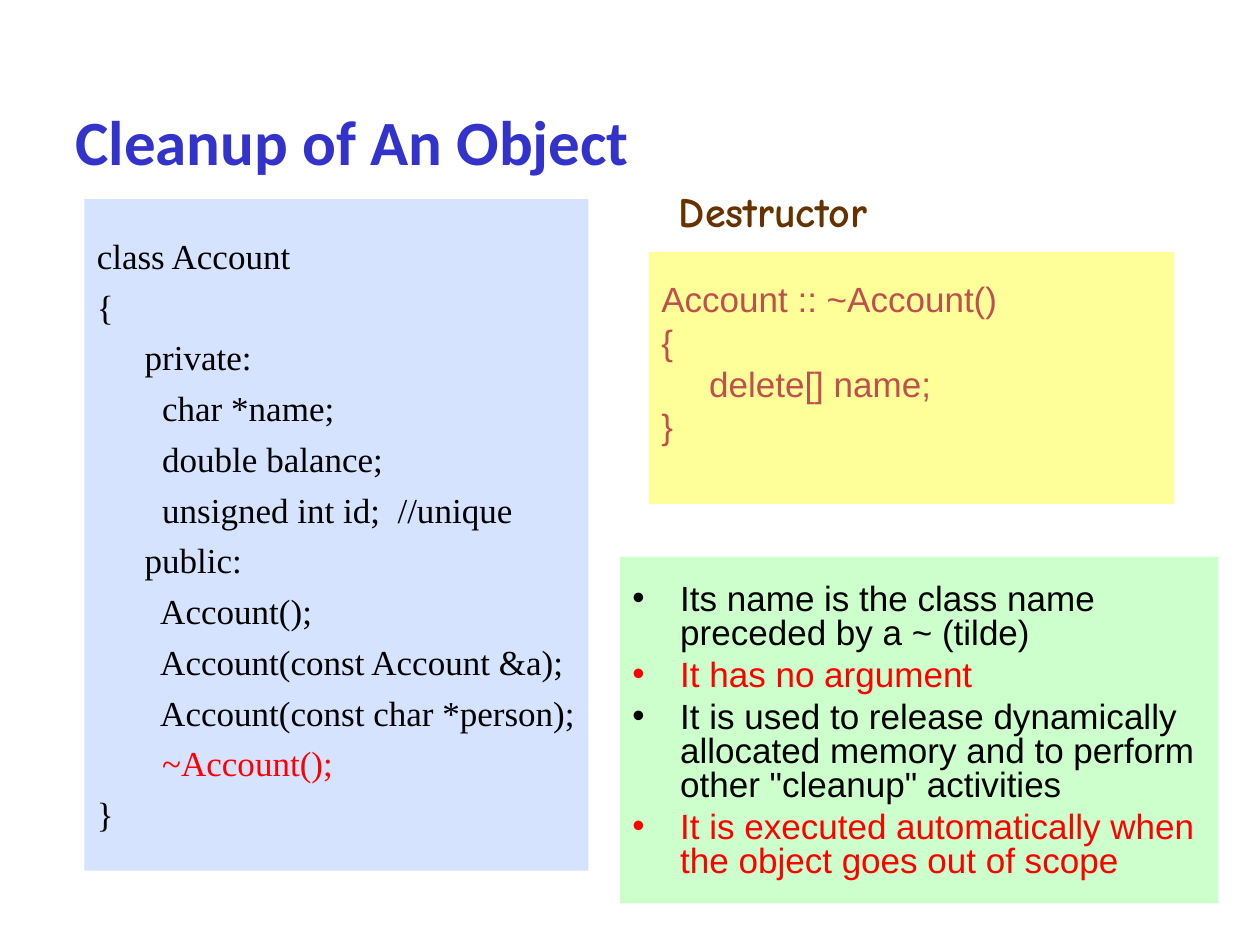
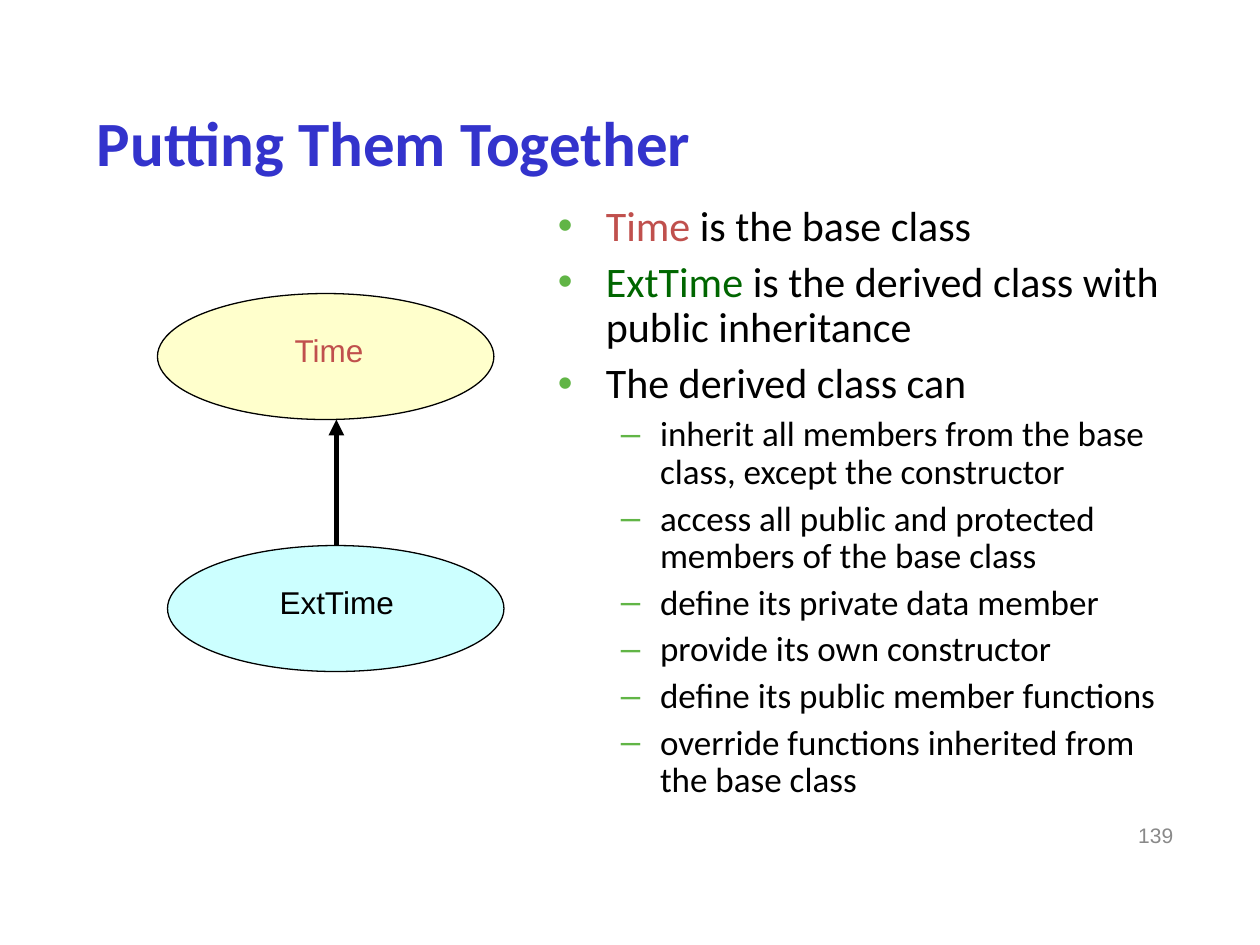
"""Builds two slides on C++ destructors and class inheritance."""
from lxml.etree import SubElement
from pptx import Presentation
from pptx.dml.color import RGBColor
from pptx.enum.shapes import MSO_CONNECTOR, MSO_SHAPE
from pptx.enum.text import MSO_ANCHOR, PP_ALIGN
from pptx.oxml.ns import qn
from pptx.util import Inches, Pt

COLORS = {
    "title": "3333CC", "text": "000000", "alert": "FF0000", "class": "C0504D",
    "derived": "006600", "bullet": "61B546", "heading": "663300", "number": "898989",
    "code": "D5E3FF", "destructor": "FFFF99", "notes": "CCFFCC",
    "base_oval": "FFFFCC", "derived_oval": "CCFFFF",
}
CODE = [
    "class Account", "{", "private:", "  char *name;", "  double balance;",
    "  unsigned int id;  //unique", "public:", "  Account();",
    "  Account(const Account &a);", "  Account(const char *person);",
    "  ~Account();", "}",
]
DESTRUCTOR = ["Account :: ~Account()", "{", "delete[] name;", "}"]
NOTES = [
    ("Its name is the class name preceded by a ~ (tilde)", "text"),
    ("It has no argument", "alert"),
    ("It is used to release dynamically allocated memory and to perform "
     'other "cleanup" activities', "text"),
    ("It is executed automatically when the object goes out of scope", "alert"),
]
POINTS = [
    [("Time", "class"), (" is the base class", "text")],
    [("ExtTime", "derived"), (" is the derived class with public inheritance", "text")],
    [("The derived class can", "text")],
]
ABILITIES = [
    "inherit all members from the base class, except the constructor",
    "access all public and protected members of the base class",
    "define its private data member",
    "provide its own constructor",
    "define its public member functions",
    "override functions inherited from the base class",
]


def color(name):
    """Return the named colour."""
    return RGBColor.from_string(COLORS[name])


def add_box(page, box, fill=None, shape=MSO_SHAPE.RECTANGLE, line=None,
            top=0.05, anchor=MSO_ANCHOR.TOP, wrap=True):
    """Add a text box, or a filled shape, and return it."""
    place = [Inches(length) for length in box]
    if fill:
        item = page.shapes.add_shape(shape, *place)
        item.shadow.inherit = False
        item.fill.solid()
        item.fill.fore_color.rgb = color(fill)
        if line:
            item.line.color.rgb = color(line)
            item.line.width = Pt(0.75)
        else:
            item.line.fill.background()
    else:
        item = page.shapes.add_textbox(*place)
    frame = item.text_frame
    frame.word_wrap = wrap
    frame.vertical_anchor = anchor
    frame.margin_left = frame.margin_right = Inches(0.1)
    frame.margin_top, frame.margin_bottom = Inches(top), Inches(0.05)
    return item


def add_para(item, spans, size, font, bold=False, align=PP_ALIGN.LEFT, before=0,
             spacing=1.0, margin=0, hang=0, bullet=None, bullet_color="bullet"):
    """Add a paragraph of (text, colour) spans, filling the first one if empty."""
    frame = item.text_frame
    first = not frame.paragraphs[0].runs
    para = frame.paragraphs[0] if first else frame.add_paragraph()
    props = para._p.get_or_add_pPr()
    props.set("marL", str(Inches(margin)))
    props.set("indent", str(-Inches(hang)))
    if bullet:
        tint = SubElement(SubElement(props, qn("a:buClr")), qn("a:srgbClr"))
        tint.set("val", COLORS[bullet_color])
        SubElement(props, qn("a:buFont")).set("typeface", "Arial")
        SubElement(props, qn("a:buChar")).set("char", bullet)
    para.alignment = align
    para.line_spacing = spacing
    para.space_before = Pt(0 if first else before)
    for text, name in spans:
        span = para.add_run()
        span.text = text
        span.font.size, span.font.name, span.font.bold = Pt(size), font, bold
        span.font.color.rgb = color(name)


def add_title(page, box, text):
    """Add the slide title."""
    item = add_box(page, box, anchor=MSO_ANCHOR.MIDDLE)
    add_para(item, [(text, "title")], 36, "Calibri", bold=True)


def add_code(page, box, lines, fill, ink, font, top, spacing=1.0):
    """Add a code panel whose body lines are indented between the braces."""
    item = add_box(page, box, fill, top=top)
    for line in lines:
        inside = line not in (lines[0], "{", "}")
        name = "alert" if line.strip().startswith("~") else ink
        add_para(item, [(line, name)], 20, font, before=5, spacing=spacing,
                 margin=0.38 if inside else 0)


def add_notes(page, box):
    """Add the panel of destructor rules."""
    item = add_box(page, box, "notes", top=0.22)
    for text, name in NOTES:
        add_para(item, [(text, name)], 20, "Arial", before=5, spacing=0.8,
                 margin=0.38, hang=0.38, bullet="•", bullet_color=name)


def add_points(page, box):
    """Add the two-level list about the derived class."""
    item = add_box(page, box, top=0.13)
    for spans in POINTS:
        add_para(item, spans, 24, "Calibri", before=6, spacing=0.9,
                 margin=0.38, hang=0.38, bullet="•")
    for text in ABILITIES:
        add_para(item, [(text, "text")], 20, "Calibri", before=5, spacing=0.9,
                 margin=0.81, hang=0.31, bullet="–")


def add_class_oval(page, left, top, text, label_left, label_width, fill, ink):
    """Add a class oval with its label placed relative to its corner."""
    add_box(page, (left, top, 2.67, 1), fill, MSO_SHAPE.OVAL, line="text")
    label = add_box(page, (left + label_left, top + 0.25, label_width, 0.4), fill, wrap=False)
    add_para(label, [(text, ink)], 18, "Arial")


def add_inheritance(page, left, top):
    """Add the base and derived ovals with the arrow between them."""
    x = Inches(left + 1.42)
    arrow = page.shapes.add_connector(
        MSO_CONNECTOR.STRAIGHT, x, Inches(top + 2), x, Inches(top + 1))
    arrow.line.color.rgb = color("text")
    arrow.line.width = Pt(3)
    SubElement(arrow.line._get_or_add_ln(), qn("a:tailEnd")).set("type", "triangle")
    SubElement(arrow._element.spPr, qn("a:effectLst"))
    add_class_oval(page, left + 0.08, top + 2, "ExtTime", 0.79, 1.11, "derived_oval", "text")
    add_class_oval(page, left, top, "Time", 0.99, 0.75, "base_oval", "class")


def build_cleanup(page):
    """Build the slide on destructors."""
    add_title(page, (0.5, 0.72, 9, 0.78), "Cleanup of An Object")
    add_code(page, (0.67, 1.58, 4, 5.33), CODE, "code", "text", "Times New Roman", 0.28)
    heading = add_box(page, (5.29, 1.42, 1.7, 0.5), wrap=False)
    add_para(heading, [("Destructor", "heading")], 24, "Comic Neue", bold=True)
    add_code(page, (5.15, 2, 4.17, 2), DESTRUCTOR, "destructor", "class", "Arial", 0.27, 0.8)
    add_notes(page, (4.92, 4.42, 4.75, 2.75))


def build_inheritance(page):
    """Build the slide on the base and derived classes."""
    number = add_box(page, (7.08, 6.43, 2.33, 0.4), anchor=MSO_ANCHOR.MIDDLE)
    add_para(number, [("139", "number")], 12, "Arial", align=PP_ALIGN.RIGHT)
    add_title(page, (0.67, 0.75, 8.75, 0.75), "Putting Them Together")
    add_points(page, (4.33, 1.5, 5.08, 4.92))
    add_inheritance(page, 1.25, 2.33)


def main():
    """Build and save the deck."""
    deck = Presentation()
    deck.slide_width, deck.slide_height = Inches(10), Inches(7.5)
    for build in (build_cleanup, build_inheritance):
        build(deck.slides.add_slide(deck.slide_layouts[6]))
    deck.save("out.pptx")


if __name__ == "__main__":
    main()
